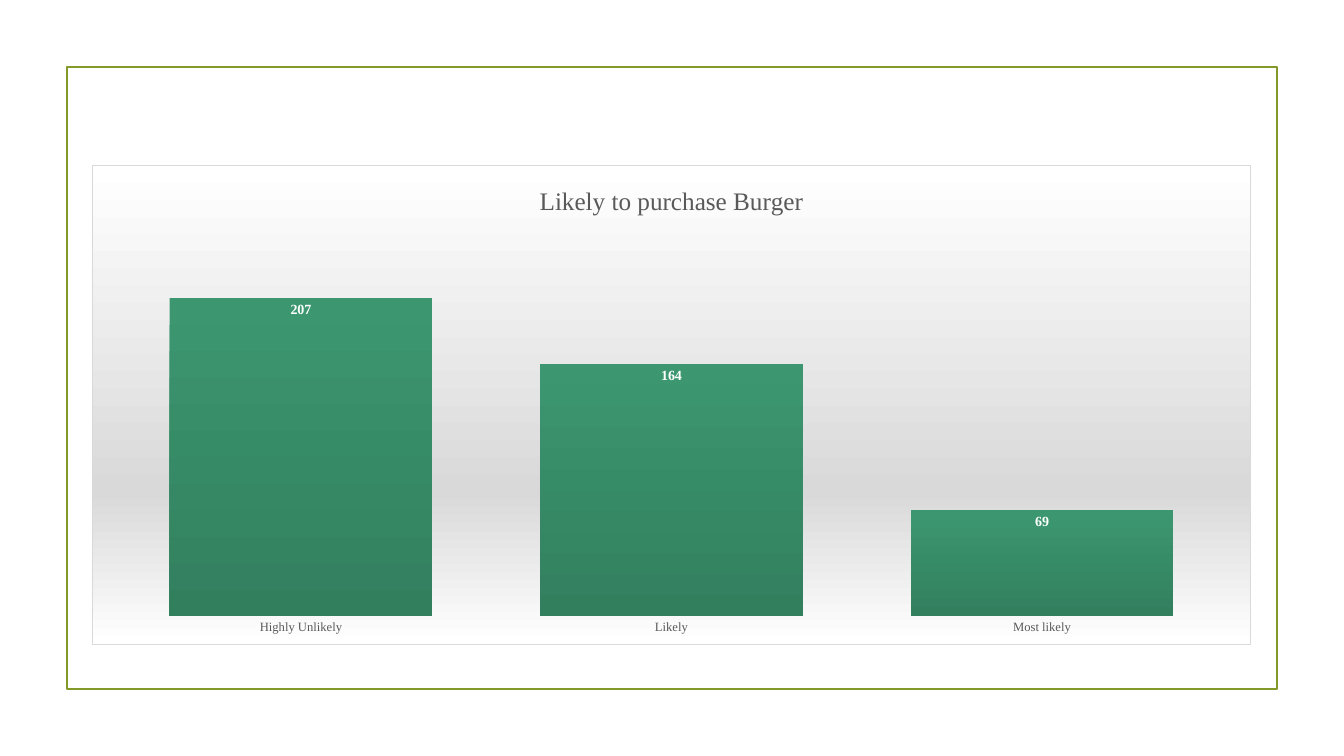
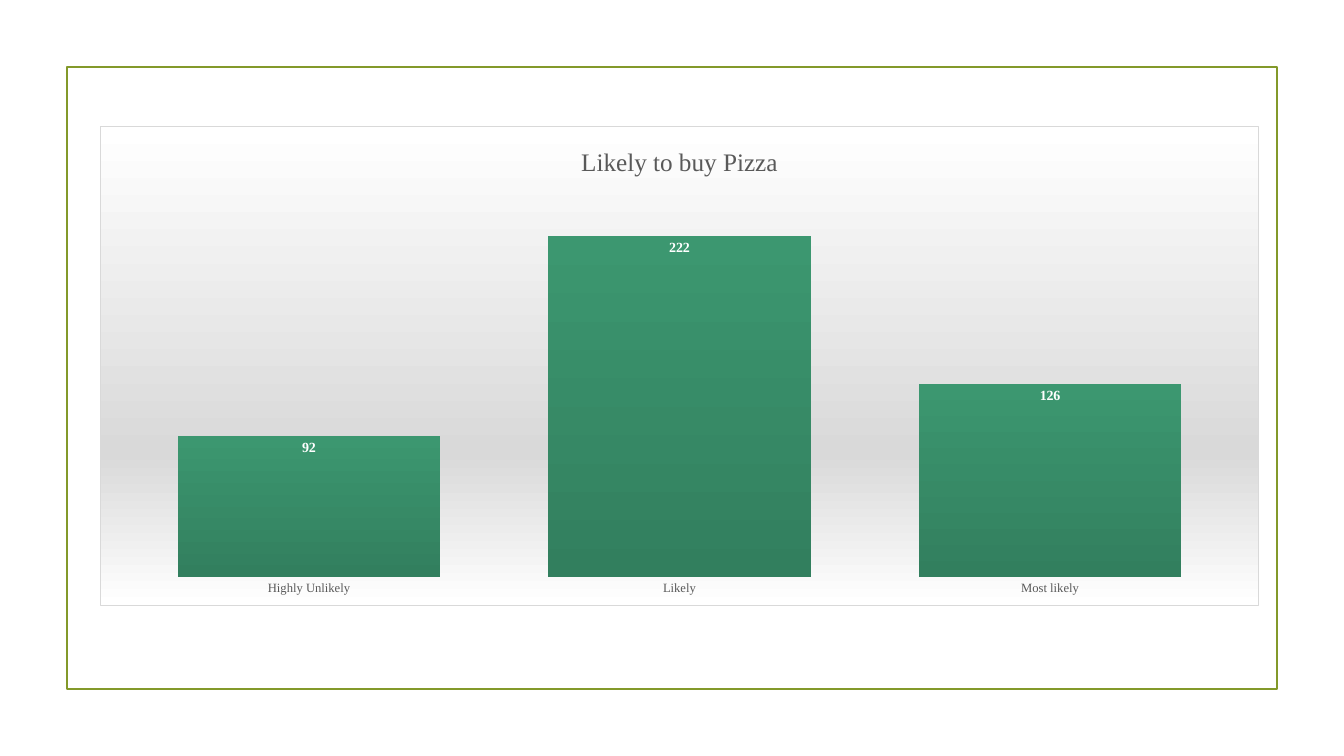
from dataclasses import dataclass

from lxml.etree import fromstring
from pptx import Presentation
from pptx.chart.data import CategoryChartData
from pptx.dml.color import RGBColor
from pptx.enum.chart import XL_CHART_TYPE, XL_LABEL_POSITION, XL_TICK_MARK
from pptx.enum.shapes import MSO_SHAPE
from pptx.oxml.ns import nsdecls, qn
from pptx.util import Emu, Pt


@dataclass(frozen=True)
class Theme:
    """Colours, type sizes and line widths that the slides share."""

    font: str = "Times New Roman"
    frame: str = "83992A"
    text: str = "595959"
    label: str = "FFFFFF"
    border: str = "D9D9D9"
    bar_stops: tuple = ((0, "3C9770"), (100, "327F5E"))
    area_stops: tuple = ((0, "FFFFFF"), (68, "D9D9D9"), (100, "FFFFFF"))
    title_size: float = 18
    label_size: float = 10
    axis_size: float = 9
    frame_width: float = 1.25
    border_width: float = 0.75


THEME = Theme()
EMU_PER_PX = 914400 / 100.8
SLIDE_SIZE = (1344, 756)
FRAME_BOX = (67, 67, 1210, 622)
CHART_SIZE = (1159, 480)
AXIS_MAXIMUM = 250
GAP_WIDTH = 41
CATEGORIES = ("Highly Unlikely", "Likely", "Most likely")
CHARTS = (
    ("Likely to purchase Burger", (207, 164, 69), (92, 165)),
    ("Likely to buy Pizza", (92, 222, 126), (100, 126)),
)


def px(*lengths):
    """Turn pixel lengths into a list of EMU lengths."""
    return [Emu(round(length * EMU_PER_PX)) for length in lengths]


def style_font(font, size, color, bold=False):
    """Set the typeface, size, colour and weight of a font."""
    font.name = THEME.font
    font.size = Pt(size)
    font.bold = bold
    font.color.rgb = RGBColor.from_string(color)


def write_text(text_frame, text, **font_format):
    """Write one formatted run of text into a text frame."""
    run = text_frame.paragraphs[0].add_run()
    run.text = text
    style_font(run.font, **font_format)


def add_frame(slide):
    """Draw the outlined frame around the slide content."""
    frame = slide.shapes.add_shape(MSO_SHAPE.RECTANGLE, *px(*FRAME_BOX))
    frame.shadow.inherit = False
    frame.fill.background()
    frame.line.color.rgb = RGBColor.from_string(THEME.frame)
    frame.line.width = Pt(THEME.frame_width)


def fill_chart_area(chart):
    """Give the chart area its vertical gradient and thin border."""
    stops = "".join(
        f'<a:gs pos="{position * 1000}"><a:srgbClr val="{color}"/></a:gs>'
        for position, color in THEME.area_stops
    )
    properties = fromstring(
        f'<c:spPr {nsdecls("c", "a")}><a:gradFill><a:gsLst>{stops}</a:gsLst>'
        f'<a:lin ang="5400000" scaled="0"/></a:gradFill>'
        f'<a:ln w="{Pt(THEME.border_width)}"><a:solidFill>'
        f'<a:srgbClr val="{THEME.border}"/></a:solidFill></a:ln></c:spPr>'
    )
    chart.element.find(qn("c:chart")).addnext(properties)


def style_bars(plot):
    """Set the gap, gradient and value labels of the bars."""
    plot.gap_width = GAP_WIDTH
    plot.vary_by_categories = False
    fill = plot.series[0].format.fill
    fill.gradient()
    fill.gradient_angle = 270
    for stop, (position, color) in zip(fill.gradient_stops, THEME.bar_stops):
        stop.position = position / 100
        stop.color.rgb = RGBColor.from_string(color)
    plot.has_data_labels = True
    labels = plot.data_labels
    labels.show_value = True
    labels.position = XL_LABEL_POSITION.INSIDE_END
    style_font(labels.font, THEME.label_size, THEME.label, bold=True)


def style_axes(chart):
    """Show plain category names and hide the value axis."""
    category_axis = chart.category_axis
    category_axis.major_tick_mark = XL_TICK_MARK.NONE
    category_axis.format.line.fill.background()
    style_font(category_axis.tick_labels.font, THEME.axis_size, THEME.text)
    value_axis = chart.value_axis
    value_axis.minimum_scale = 0
    value_axis.maximum_scale = AXIS_MAXIMUM
    value_axis.has_major_gridlines = False
    value_axis.visible = False


def add_column_chart(slide, title, values, position):
    """Add a titled column chart at a pixel position."""
    data = CategoryChartData()
    data.categories = CATEGORIES
    data.add_series("Series 1", values)
    chart = slide.shapes.add_chart(
        XL_CHART_TYPE.COLUMN_CLUSTERED, *px(*position, *CHART_SIZE), data
    ).chart
    style_font(chart.font, THEME.label_size, THEME.text)
    chart.has_legend = False
    chart.has_title = True
    chart.chart_title.include_in_layout = False
    write_text(chart.chart_title.text_frame, title,
               size=THEME.title_size, color=THEME.text)
    fill_chart_area(chart)
    style_bars(chart.plots[0])
    style_axes(chart)


def main():
    """Build one framed chart slide per question and save the file."""
    presentation = Presentation()
    presentation.slide_width, presentation.slide_height = px(*SLIDE_SIZE)
    blank_layout = presentation.slide_layouts[6]
    for title, values, position in CHARTS:
        slide = presentation.slides.add_slide(blank_layout)
        add_frame(slide)
        add_column_chart(slide, title, values, position)
    presentation.save("out.pptx")


if __name__ == "__main__":
    main()
